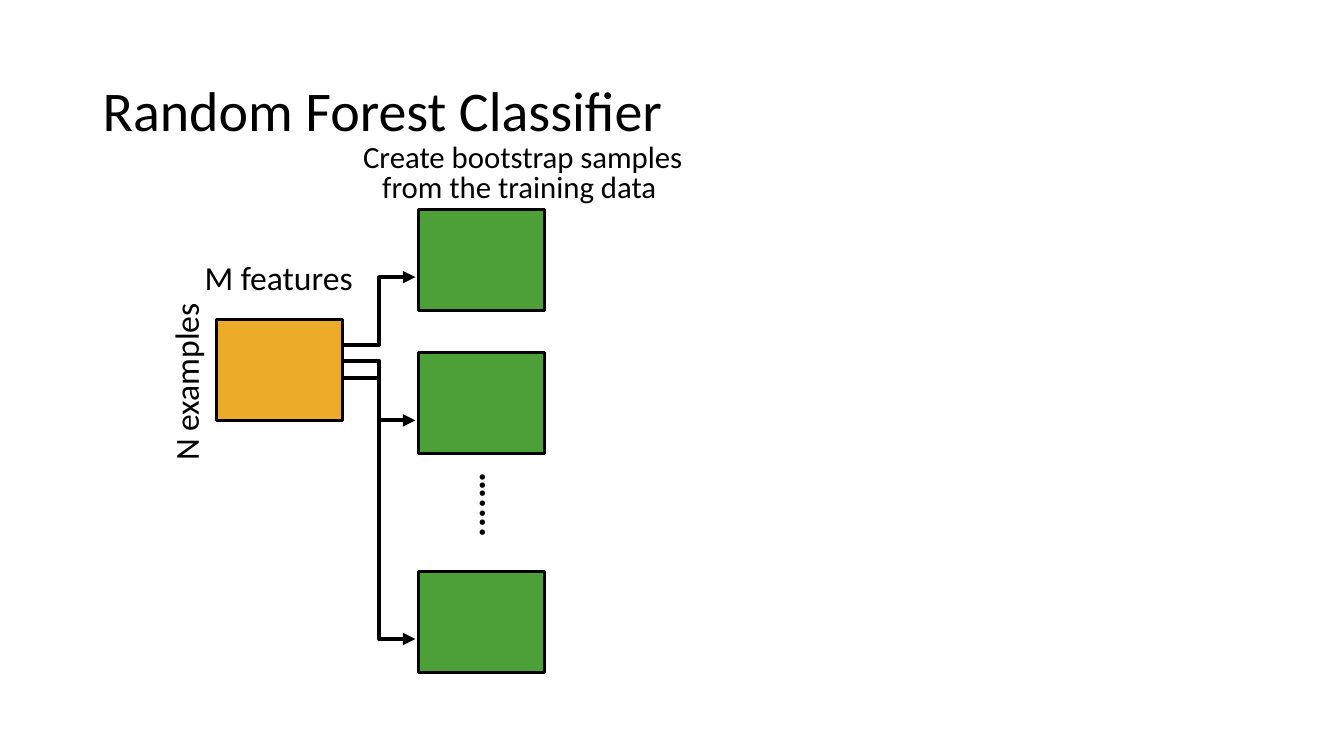
from lxml import etree
from pptx import Presentation
from pptx.dml.color import RGBColor
from pptx.enum import shapes, text
from pptx.oxml import ns
from pptx.util import Inches, Pt

COLORS = {"ink": "000000", "training": "ECAB28", "sample": "4D9F37"}
FONT = "Calibri"
BLOCK_W, BLOCK_H = 1.25, 1.0


def color(name):
    return RGBColor.from_string(COLORS[name])


def add_label(slide, box, lines, size, rotation=0, wrap=False, bold=False,
              align=text.PP_ALIGN.LEFT, anchor=text.MSO_ANCHOR.TOP, spacing=None):
    label = slide.shapes.add_textbox(*map(Inches, box))
    label.rotation = rotation
    frame = label.text_frame
    frame.word_wrap = wrap
    frame.vertical_anchor = anchor
    frame.text = "\n".join(lines)
    for paragraph in frame.paragraphs:
        paragraph.alignment = align
        paragraph.line_spacing = spacing
        paragraph.font.name = FONT
        paragraph.font.size = Pt(size)
        paragraph.font.bold = bold
        paragraph.font.color.rgb = color("ink")


def add_block(slide, left, top, fill):
    block = slide.shapes.add_shape(
        shapes.MSO_SHAPE.RECTANGLE, *map(Inches, (left, top, BLOCK_W, BLOCK_H)))
    block.shadow.inherit = False
    block.fill.solid()
    block.fill.fore_color.rgb = color(fill)
    block.line.color.rgb = color("ink")
    block.line.width = Pt(2.25)


def add_elbow_arrow(slide, start, end):
    arrow = slide.shapes.add_connector(
        shapes.MSO_CONNECTOR.ELBOW, *map(Inches, start + end))
    arrow.line.color.rgb = color("ink")
    arrow.line.width = Pt(3)
    etree.SubElement(arrow.line._get_or_add_ln(), ns.qn("a:tailEnd"), type="triangle")
    etree.SubElement(arrow._element.spPr, ns.qn("a:effectLst"))


def add_title(slide, box):
    add_label(slide, box, ["Random Forest Classifier"], 40, wrap=True,
              anchor=text.MSO_ANCHOR.MIDDLE, spacing=0.9)


def add_training_data(slide, left, top):
    """Training matrix with its two dimensions."""
    add_block(slide, left, top, "training")
    add_label(slide, (left - 0.22, top - 0.67, 1.69, 0.5), ["M features"], 24)
    add_label(slide, (left - 1.2, top + 0.36, 1.78, 0.5), ["N examples"], 24, rotation=270)


def add_bootstrap_samples(slide, left, tops):
    """Column of samples under its heading, with dots before the last one."""
    add_label(slide, (left - 2.05, tops[0] - 0.69, 6.17, 0.7),
              ["Create bootstrap samples", "from the training data "], 22,
              wrap=True, align=text.PP_ALIGN.CENTER, spacing=0.8)
    for top in tops:
        add_block(slide, left, top, "sample")
    add_label(slide, (left + 0.09, tops[-1] - 0.93, 0.85, 0.53), ["....…"], 26,
              rotation=270, bold=True)


def main():
    prs = Presentation()
    prs.slide_width, prs.slide_height = Inches(13.33), Inches(7.5)
    slide = prs.slides.add_slide(prs.slide_layouts[6])

    training_left, training_top = 2.15, 3.17
    sample_left, sample_tops = 4.15, (2.08, 3.5, 5.67)

    add_title(slide, (0.92, 0.4, 11.5, 1.45))
    add_bootstrap_samples(slide, sample_left, sample_tops)
    add_training_data(slide, training_left, training_top)

    # Arrows leave the training data at quarter, middle and lower exits
    exits = (3.42, 3.75, 3.58)
    for exit_y, top in zip(exits, sample_tops):
        add_elbow_arrow(slide, (training_left + BLOCK_W, exit_y),
                        (sample_left - 0.03, top + BLOCK_H / 2 + 0.17))

    prs.save("out.pptx")


if __name__ == "__main__":
    main()
